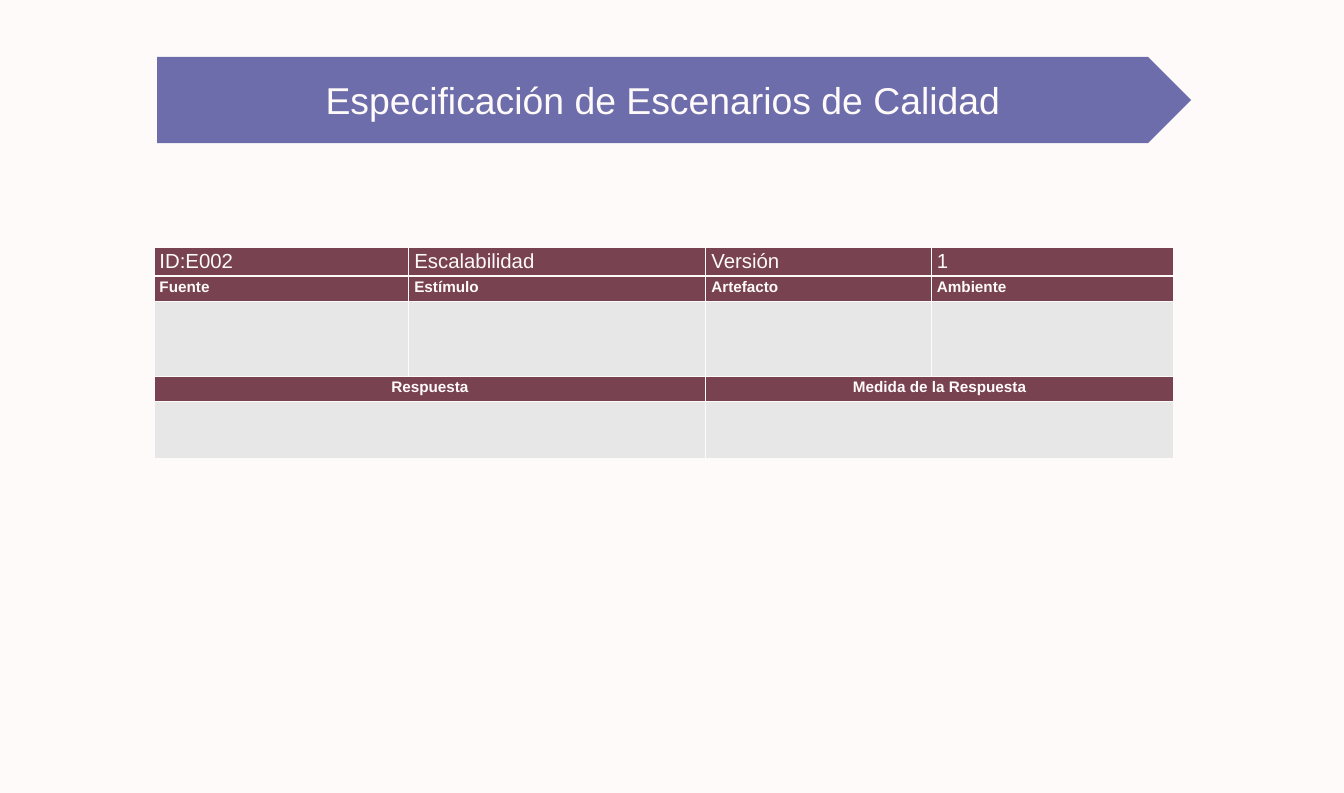
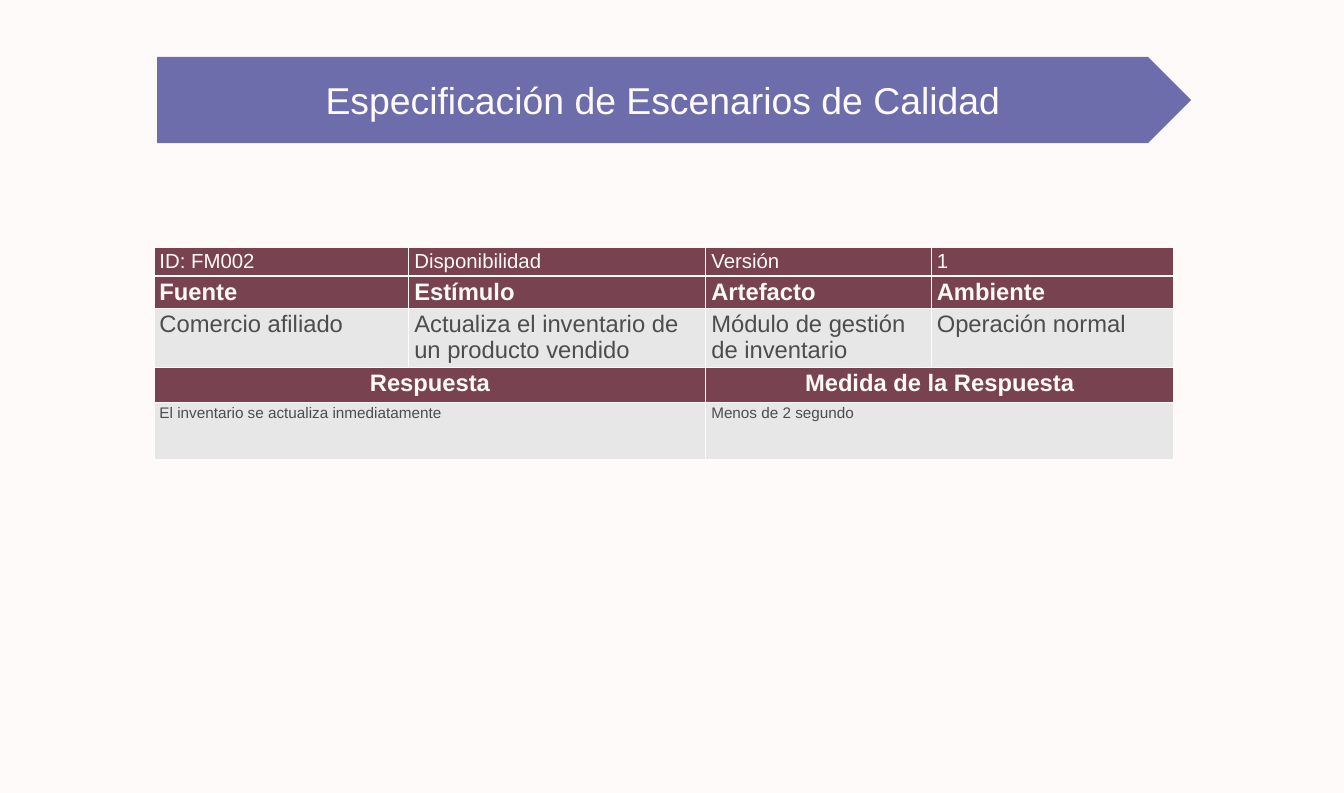
from lxml import etree
from pptx import Presentation
from pptx.dml.color import RGBColor
from pptx.enum.shapes import MSO_SHAPE as Shape
from pptx.enum.text import MSO_ANCHOR as Anchor, MSO_AUTO_SIZE as AutoSize, PP_ALIGN as Align
from pptx.oxml.ns import qn
from pptx.util import Pt

TITLE = "Especificación de Escenarios de Calidad"
SOURCE_HEADS = ["Fuente", "Estímulo", "Artefacto", "Ambiente"]
RESPONSE_HEADS = ["Respuesta", "Medida de la Respuesta"]
SCENARIOS = [
    {
        "identity": ["ID:E002", "Escalabilidad", "Versión", "1"],
        "source": ["", "", "", ""],
        "response": ["", ""],
        "head_size": 18,
        "heights": [33.4, 29.5, 88.4, 29.5, 67],
    },
    {
        "identity": ["ID: FM002", "Disponibilidad", "Versión", "1"],
        "source": ["Comercio afiliado", "Actualiza el inventario de un producto vendido",
                   "Módulo de gestión de inventario", "Operación normal"],
        "response": ["El inventario se actualiza inmediatamente", "Menos de 2 segundo"],
        "head_size": 28,
        "heights": [33.4, 38.2, 69.8, 41, 67],
    },
]

FONT = "Arial"
PAPER, BAND, HEAD, BODY, INK = "FEFAFA", "252884", "784250", "E7E7E8", "4C4D4C"
BAND_OPACITY = 67
BAND_BOX = (185, 67, 1218.2, 101.5)
TABLE_LEFT, TABLE_TOP = 181.4, 291.6
COLUMNS = [300.2, 349.9, 265.7, 285.1]
THIN, THICK = 1, 3


def rgb(hex_color):
    return RGBColor.from_string(hex_color)


def style(paragraph, size, color, bold=False, align=Align.LEFT):
    paragraph.alignment = align
    font = paragraph.font
    font.name, font.size, font.bold = FONT, Pt(size), bold
    font.color.rgb = rgb(color)


def add_title(slide):
    left, top, width, height = BAND_BOX
    band = slide.shapes.add_shape(Shape.PENTAGON, *map(Pt, BAND_BOX))
    band.shadow.inherit = False
    band.line.fill.background()
    band.fill.solid()
    band.fill.fore_color.rgb = rgb(BAND)
    tint = band.fill._xPr.find(".//" + qn("a:srgbClr"))
    etree.SubElement(tint, qn("a:alpha"), val=str(BAND_OPACITY * 1000))

    title = slide.shapes.title
    slide.shapes._spTree.append(title._element)
    title.left, title.top = Pt(left), Pt(top)
    title.width, title.height = Pt(width - height / 4), Pt(height)
    frame = title.text_frame
    frame.text = TITLE
    frame.word_wrap = True
    frame.auto_size = AutoSize.NONE
    frame.vertical_anchor = Anchor.MIDDLE
    style(frame.paragraphs[0], 44, PAPER, align=Align.CENTER)


def set_borders(cell, top, bottom):
    properties = cell._tc.get_or_add_tcPr()
    for side, width in zip("LRTB", (THIN, THIN, top, bottom)):
        line = etree.SubElement(properties, qn(f"a:ln{side}"), w=str(Pt(width)))
        fill = etree.SubElement(line, qn("a:solidFill"))
        etree.SubElement(fill, qn("a:srgbClr"), val=PAPER)


def add_scenario(slide, scenario):
    head_size = scenario["head_size"]
    rows = [
        (scenario["identity"], HEAD, 24, PAPER, False, Align.LEFT),
        (SOURCE_HEADS, HEAD, head_size, PAPER, True, Align.LEFT),
        (scenario["source"], BODY, head_size, INK, False, Align.LEFT),
        (RESPONSE_HEADS, HEAD, head_size, PAPER, True, Align.CENTER),
        (scenario["response"], BODY, 18, INK, False, Align.LEFT),
    ]
    heights = scenario["heights"]
    table = slide.shapes.add_table(
        len(rows), len(COLUMNS), Pt(TABLE_LEFT), Pt(TABLE_TOP),
        Pt(sum(COLUMNS)), Pt(sum(heights))).table
    table.first_row = table.horz_banding = False
    for column, width in zip(table.columns, COLUMNS):
        column.width = Pt(width)
    for r, (texts, fill, size, color, bold, align) in enumerate(rows):
        table.rows[r].height = Pt(heights[r])
        for c in range(len(COLUMNS)):
            cell = table.cell(r, c)
            set_borders(cell, THICK if r == 1 else THIN, THICK if r == 0 else THIN)
            cell.fill.solid()
            cell.fill.fore_color.rgb = rgb(fill)
            cell.margin_left = cell.margin_right = Pt(6.5)
            cell.margin_top = cell.margin_bottom = Pt(3)
        span = len(COLUMNS) // len(texts)
        for i, text in enumerate(texts):
            cell = table.cell(r, i * span)
            if span > 1:
                cell.merge(table.cell(r, (i + 1) * span - 1))
            cell.text = text
            style(cell.text_frame.paragraphs[0], size, color, bold, align)


def main():
    deck = Presentation()
    deck.slide_width, deck.slide_height = Pt(1583.3), Pt(933.8)
    background = deck.slide_master.background.fill
    background.solid()
    background.fore_color.rgb = rgb(PAPER)
    title_only = deck.slide_layouts[5]
    for scenario in SCENARIOS:
        slide = deck.slides.add_slide(title_only)
        add_title(slide)
        add_scenario(slide, scenario)
    deck.save("out.pptx")


if __name__ == "__main__":
    main()
